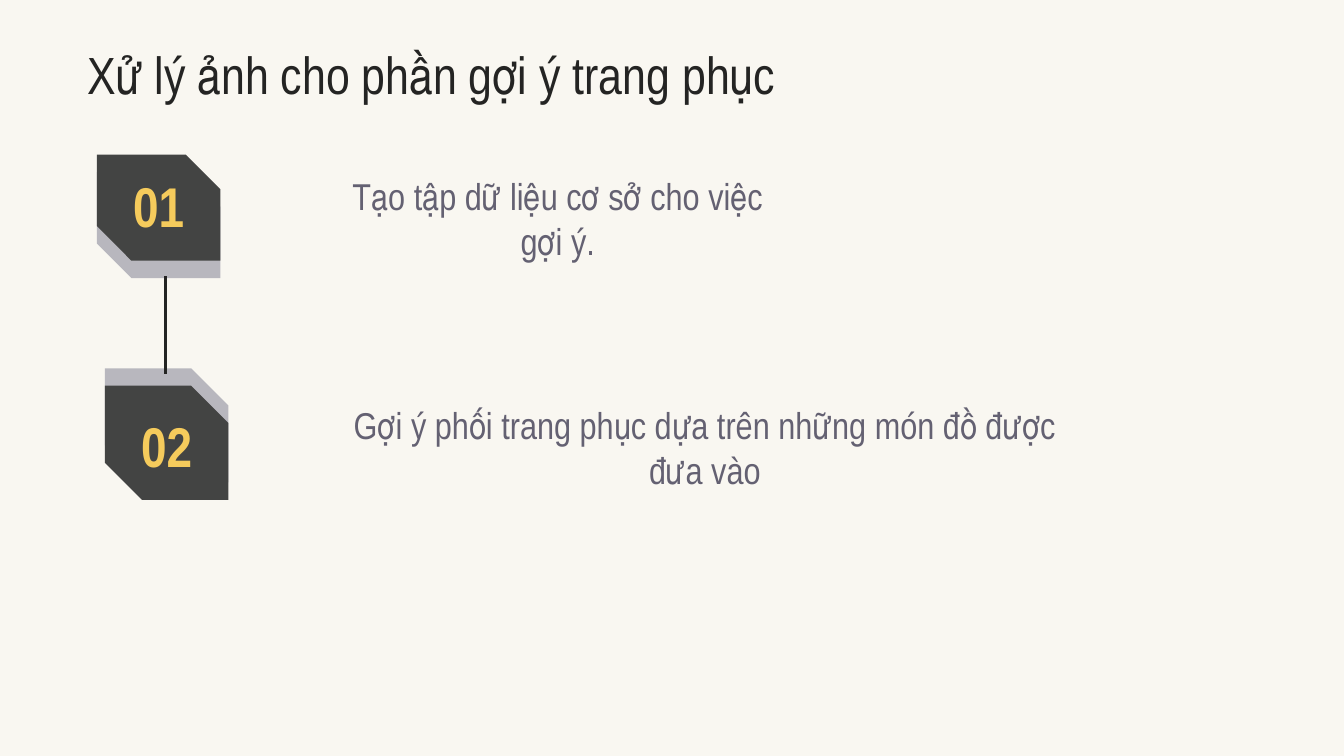
from dataclasses import dataclass

from lxml import etree
from pptx import Presentation
from pptx.dml.color import RGBColor
from pptx.enum import shapes, text
from pptx.oxml import ns
from pptx.slide import Slide
from pptx import util as u

CREAM = RGBColor(0xF9, 0xF7, 0xF1)
CHARCOAL = RGBColor(0x43, 0x44, 0x43)
INK = RGBColor(0x24, 0x24, 0x23)
LAVENDER = RGBColor(0xB8, 0xB7, 0xBE)
PURPLE = RGBColor(0x64, 0x61, 0x72)
YELLOW = RGBColor(0xF5, 0xCB, 0x5C)

FONT = "Arial Narrow"
GRID_COLUMNS = 100
SLIDE_WIDTH = u.Inches(10)
SLIDE_HEIGHT = u.Inches(5.625)
BADGE_WIDTH = 9.2
BACK_OFFSET = 1.3
CORNER_CUT = 0.327


def grid(units: float) -> u.Length:
    return u.Emu(round(SLIDE_WIDTH * units / GRID_COLUMNS))


@dataclass(frozen=True)
class Box:
    left: float
    top: float
    width: float
    height: float

    def lengths(self) -> list[u.Length]:
        return [grid(units) for units in (self.left, self.top, self.width, self.height)]


@dataclass(frozen=True)
class Step:
    number: str
    badge: Box
    back_shift: float
    number_top: float
    description: str
    description_box: Box


STEPS = [
    Step("01", Box(7.2, 11.5, BADGE_WIDTH, 7.9), BACK_OFFSET, 12.7,
         "Tạo tập dữ liệu cơ sở cho việc gợi ý.", Box(23.8, 13.6, 35.4, 5.3)),
    Step("02", Box(7.8, 28.7, BADGE_WIDTH, 8.5), -BACK_OFFSET, 30.6,
         "Gợi ý phối trang phục dựa trên những món đồ được đưa vào",
         Box(23.8, 30.6, 57.3, 5.3)),
]


def add_text(slide: Slide, box: Box, content: str, size: int, color: RGBColor,
             align: text.PP_ALIGN = text.PP_ALIGN.CENTER, bold: bool = False) -> None:
    frame = slide.shapes.add_textbox(*box.lengths()).text_frame
    frame.word_wrap = True
    frame.vertical_anchor = text.MSO_ANCHOR.MIDDLE
    frame.margin_left = frame.margin_right = u.Inches(0.1)
    frame.margin_top = frame.margin_bottom = u.Inches(0.1)
    paragraph = frame.paragraphs[0]
    paragraph.text = content
    paragraph.alignment = align
    paragraph.font.name = FONT
    paragraph.font.size = u.Pt(size)
    paragraph.font.bold = bold
    paragraph.font.color.rgb = color


def add_plate(slide: Slide, box: Box, color: RGBColor) -> None:
    shape = slide.shapes.add_shape(
        shapes.MSO_SHAPE.SNIP_2_DIAG_RECTANGLE, *box.lengths())
    shape.adjustments[0] = 0
    shape.adjustments[1] = CORNER_CUT
    shape.shadow.inherit = False
    shape.fill.solid()
    shape.fill.fore_color.rgb = color
    shape.line.fill.background()


def add_badge(slide: Slide, step: Step) -> None:
    badge = step.badge
    back = Box(badge.left, badge.top + step.back_shift, badge.width, badge.height)
    add_plate(slide, back, LAVENDER)
    add_plate(slide, badge, CHARCOAL)


def add_link(slide: Slide, column: float, top: float, bottom: float) -> None:
    connector = slide.shapes.add_connector(
        shapes.MSO_CONNECTOR.STRAIGHT,
        grid(column), grid(bottom), grid(column), grid(top))
    connector.line.color.rgb = INK
    connector.line.width = u.Pt(1.5)
    etree.SubElement(connector._element.spPr, ns.qn("a:effectLst"))


def add_step_text(slide: Slide, step: Step) -> None:
    number_box = Box(step.badge.left + 1.2, step.number_top, 6.8, 5.1)
    add_text(slide, number_box, step.number, 30, YELLOW, bold=True)
    add_text(slide, step.description_box, step.description, 20, PURPLE)


def main() -> None:
    presentation = Presentation()
    presentation.slide_width = SLIDE_WIDTH
    presentation.slide_height = SLIDE_HEIGHT
    slide = presentation.slides.add_slide(presentation.slide_layouts[6])
    slide.background.fill.solid()
    slide.background.fill.fore_color.rgb = CREAM

    for step in STEPS:
        add_badge(slide, step)
    add_text(slide, Box(5.5, 1.9, 84.4, 7.1), "Xử lý ảnh cho phần gợi ý trang phục",
             28, INK, text.PP_ALIGN.LEFT)
    add_link(slide, 12.3, 20.5, 27.8)
    for step in STEPS:
        add_step_text(slide, step)

    presentation.save("out.pptx")


if __name__ == "__main__":
    main()
